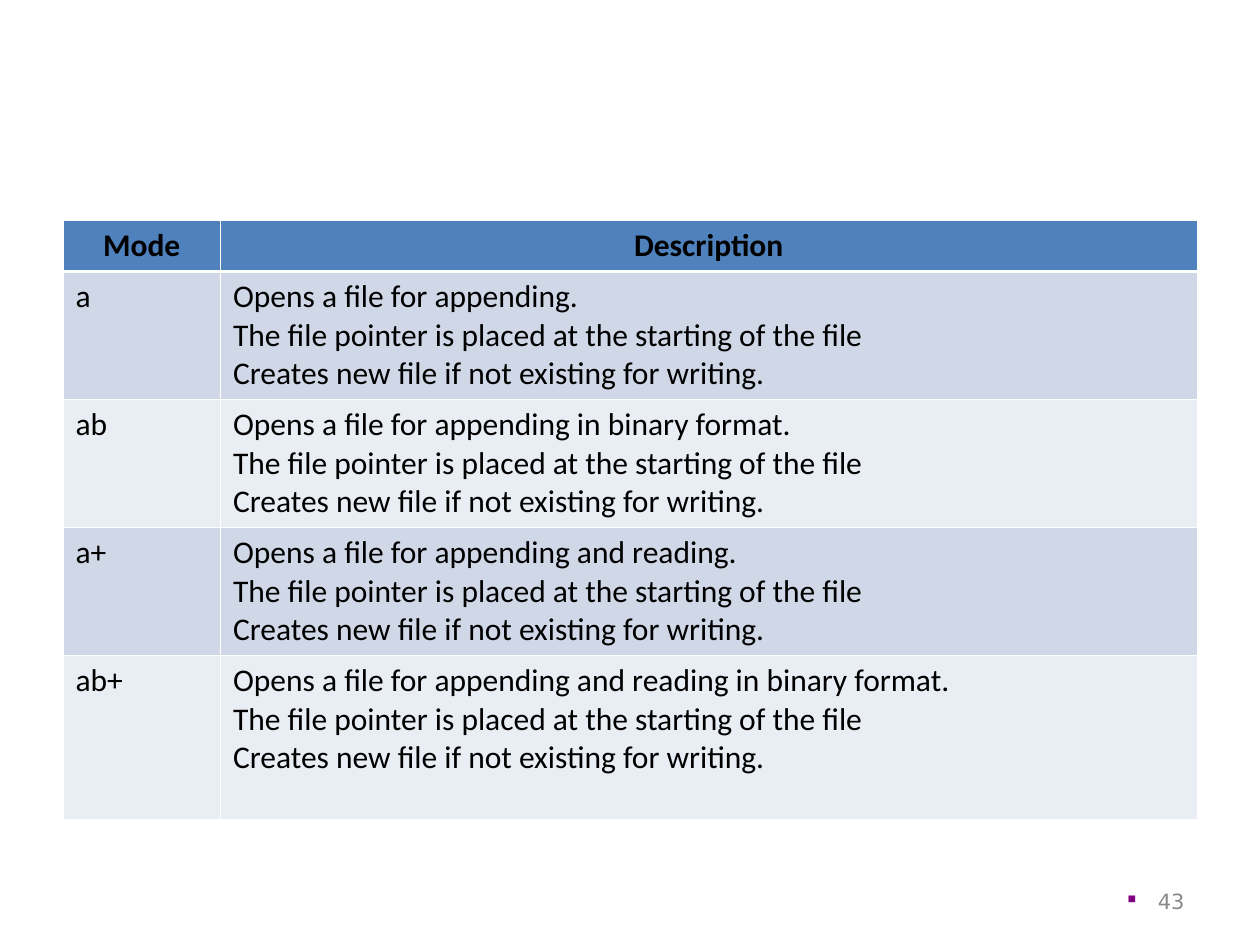
import pptx
import pptx.dml.color
import pptx.enum.text
import pptx.oxml.ns
import pptx.util
import lxml.etree

PX = 9144
COLORS = {
    "header": "4F81BD",
    "odd_row": "D0D8E8",
    "even_row": "E9EDF4",
    "border": "FFFFFF",
    "text": "000000",
    "page_number": "898989",
    "bullet": "800080",
}
ALIGN = pptx.enum.text.PP_ALIGN
POINTER = "The file pointer is placed at the starting of the file"
CREATION = "Creates new file if not existing for writing."
MODES = [
    ("a", "Opens a file for appending."),
    ("ab", "Opens a file for appending in binary format."),
    ("a+", "Opens a file for appending and reading."),
    ("ab+", "Opens a file for appending and reading in binary format."),
]


def px(*lengths):
    """Turn px lengths into EMU."""
    return [pptx.util.Emu(length * PX) for length in lengths]


def rgb(name):
    """Look up a named colour."""
    return pptx.dml.color.RGBColor.from_string(COLORS[name])


def add_element(parent, tag, **attributes):
    """Append a DrawingML element to its parent."""
    return lxml.etree.SubElement(parent, pptx.oxml.ns.qn(tag), attributes)


def add_run(paragraph, words, font, size, color, bold=False):
    """Add one formatted run to a paragraph."""
    run = paragraph.add_run()
    run.text = words
    run.font.name = font
    run.font.size = pptx.util.Pt(size)
    run.font.bold = bold
    run.font.color.rgb = rgb(color)


def set_borders(cell, top, bottom):
    """Draw the four borders of a cell, with widths in points."""
    properties = cell._tc.get_or_add_tcPr()
    widths = {"a:lnL": 0.45, "a:lnR": 0.45, "a:lnT": top, "a:lnB": bottom}
    for tag, width in widths.items():
        line = add_element(properties, tag, w=str(pptx.util.Pt(width)))
        add_element(add_element(line, "a:solidFill"), "a:srgbClr", val=COLORS["border"])


def add_mode_table(slide, left, top, width, height):
    """Place the table of file modes in its box."""
    rows = [("Mode", ["Description"])]
    rows += [(mode, [purpose, POINTER, CREATION]) for mode, purpose in MODES]
    table = slide.shapes.add_table(len(rows), 2, *px(left, top, width, height)).table
    mode_width, header_height, mode_height = 125, 40, 100
    last_height = height - header_height - 3 * mode_height
    for column, column_width in zip(table.columns, px(mode_width, width - mode_width)):
        column.width = column_width
    row_heights = px(header_height, *[mode_height] * 3, last_height)
    for row, row_height in zip(table.rows, row_heights):
        row.height = row_height
    for index, (mode, description) in enumerate(rows):
        is_header = index == 0
        fill = "header" if is_header else "odd_row" if index % 2 else "even_row"
        for column, lines in enumerate(([mode], description)):
            cell = table.cell(index, column)
            set_borders(cell, 1.47 if index == 1 else 0.45, 1.47 if is_header else 0.45)
            cell.fill.solid()
            cell.fill.fore_color.rgb = rgb(fill)
            for number, line in enumerate(lines):
                frame = cell.text_frame
                paragraph = frame.add_paragraph() if number else frame.paragraphs[0]
                paragraph.alignment = ALIGN.CENTER if is_header else ALIGN.LEFT
                add_run(paragraph, line, "Calibri", 18, "text", is_header)


def add_page_number(slide, left, top, width, height):
    """Place the bulleted page number in its box."""
    frame = slide.shapes.add_textbox(*px(left, top, width, height)).text_frame
    frame.word_wrap = True
    frame.vertical_anchor = pptx.enum.text.MSO_ANCHOR.MIDDLE
    paragraph = frame.paragraphs[0]
    paragraph.alignment = ALIGN.RIGHT
    properties = paragraph._p.get_or_add_pPr()
    hanging = 24 * PX
    properties.set("marL", str(hanging))
    properties.set("indent", str(-hanging))
    add_element(add_element(properties, "a:buClr"), "a:srgbClr", val=COLORS["bullet"])
    add_element(properties, "a:buSzPct", val="55000")
    add_element(properties, "a:buChar", char="■")
    add_run(paragraph, "43", "DejaVu Sans", 12, "page_number")


def main():
    """Build and save the slide."""
    deck = pptx.Presentation()
    deck.slide_width, deck.slide_height = px(1000, 750)
    slide = deck.slides.add_slide(deck.slide_layouts[6])
    add_mode_table(slide, 50, 175, 900, 470)
    add_page_number(slide, 717, 695, 233, 40)
    deck.save("out.pptx")


if __name__ == "__main__":
    main()
